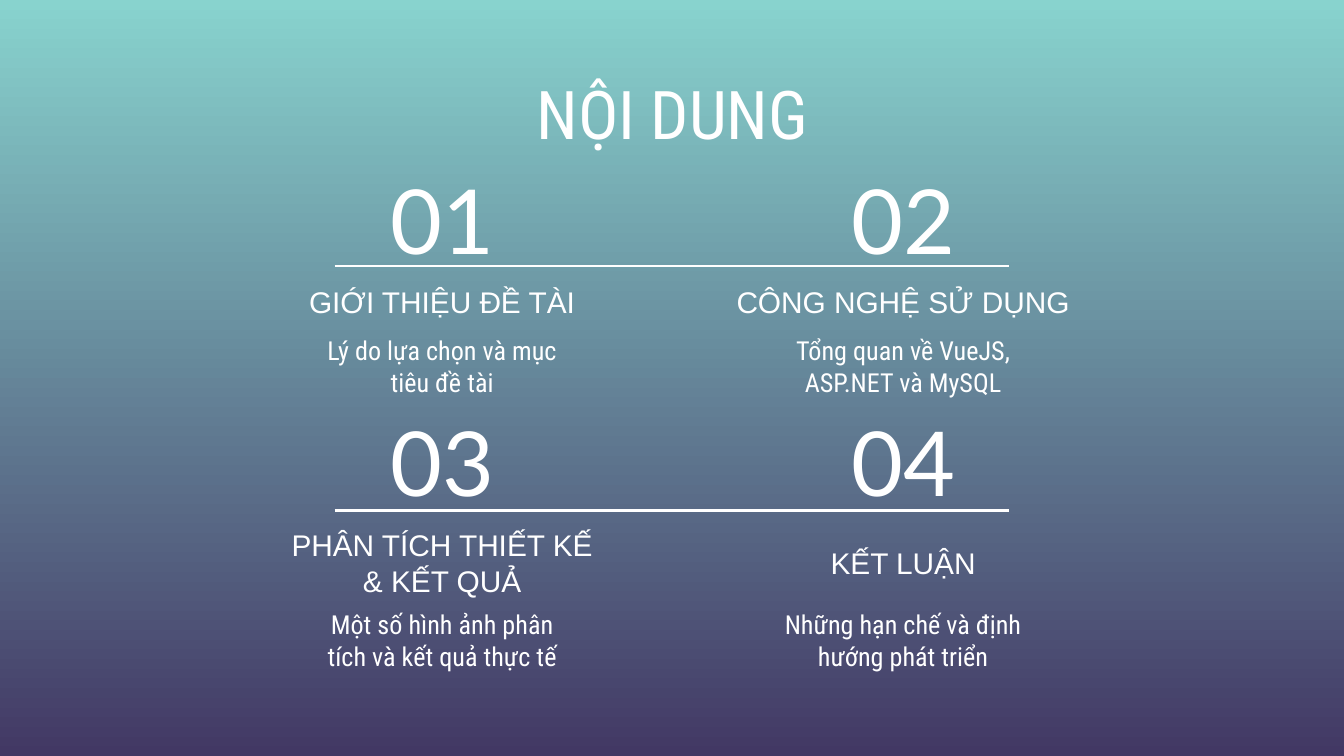
from lxml import etree
from pptx import Presentation
from pptx.dml.color import RGBColor
from pptx.enum.shapes import MSO_CONNECTOR
from pptx.enum.text import MSO_ANCHOR, MSO_AUTO_SIZE, PP_ALIGN
from pptx.oxml.ns import qn
from pptx.util import Inches, Pt

COLORS = {"text": "FFFFFF", "top": "88D3CE", "bottom": "423864"}
TITLE_FONT, HEADING_FONT, NUMBER_FONT = "Roboto Condensed", "Arial", "Lato"
COLUMNS = (1.85, 5.28)
COLUMN_WIDTH = 2.88

# Offsets are measured from the top of each row.
ROWS = [
    {"top": 1.31, "rule": 0.67, "heading": (0.54, 0.63), "body": 1.08,
     "anchor": MSO_ANCHOR.BOTTOM, "items": [
         ("01", "GIỚI THIỆU ĐỀ TÀI", "Lý do lựa chọn và mục tiêu đề tài"),
         ("02", "CÔNG NGHỆ SỬ DỤNG", "Tổng quan về VueJS, ASP.NET và MySQL")]},
    {"top": 3.11, "rule": 0.69, "heading": (0.69, 0.77), "body": 1.32,
     "anchor": MSO_ANCHOR.MIDDLE, "items": [
         ("03", "PHÂN TÍCH THIẾT KẾ\v& KẾT QUẢ",
          "Một số hình ảnh phân tích và kết quả thực tế"),
         ("04", "KẾT LUẬN", "Những hạn chế và định hướng phát triển")]},
]


def rgb(name):
    return RGBColor.from_string(COLORS[name])


def format_text(sp, text, font, size, anchor=MSO_ANCHOR.TOP):
    tf = sp.text_frame
    tf.word_wrap = True
    tf.auto_size = MSO_AUTO_SIZE.NONE
    tf.vertical_anchor = anchor
    tf.margin_left = tf.margin_right = Inches(0.1)
    tf.margin_top = tf.margin_bottom = Inches(0.1)
    p = tf.paragraphs[0]
    p.text = text
    p.alignment = PP_ALIGN.CENTER
    p.font.name, p.font.size = font, Pt(size)
    p.font.color.rgb = rgb("text")


def add_centered_text(s, left, top, width, height, *style):
    """Add a text box centred across the column that starts at left."""
    x = left + (COLUMN_WIDTH - width) / 2
    sp = s.shapes.add_textbox(Inches(x), Inches(top), Inches(width), Inches(height))
    format_text(sp, *style)


def add_item(s, left, row, item):
    number, heading, body = item
    top = row["top"]
    offset, height = row["heading"]
    add_centered_text(s, left, top, 1.92, 0.63, number, NUMBER_FONT, 48, MSO_ANCHOR.MIDDLE)
    add_centered_text(s, left, top + offset, COLUMN_WIDTH, height,
                      heading, HEADING_FONT, 16, row["anchor"])
    add_centered_text(s, left, top + row["body"], 2.08, 0.4, body, TITLE_FONT, 14)


def add_rule(s, y):
    line = s.shapes.add_connector(MSO_CONNECTOR.STRAIGHT, Inches(2.49), Inches(y),
                                  Inches(7.51), Inches(y))
    line.line.color.rgb = rgb("text")
    line.line.width = Pt(1.5)
    etree.SubElement(line._element.spPr, qn("a:effectLst"))


def add_title(s):
    title = s.shapes.title
    title.left, title.top = Inches(1.23), Inches(0.44)
    title.width, title.height = Inches(7.55), Inches(1.03)
    format_text(title, "NỘI DUNG", TITLE_FONT, 36)


def set_background(s):
    fill = s.background.fill
    fill.gradient()
    fill.gradient_angle = 270
    for stop, name in zip(fill.gradient_stops, ("top", "bottom")):
        stop.color.rgb = rgb(name)


def main():
    prs = Presentation()
    prs.slide_width = Inches(10)
    prs.slide_height = prs.slide_width * 9 // 16
    s = prs.slides.add_slide(prs.slide_layouts[5])
    set_background(s)
    add_title(s)
    for row in ROWS:
        for left, item in zip(COLUMNS, row["items"]):
            add_item(s, left, row, item)
        add_rule(s, row["top"] + row["rule"])
    prs.save("out.pptx")


if __name__ == "__main__":
    main()
